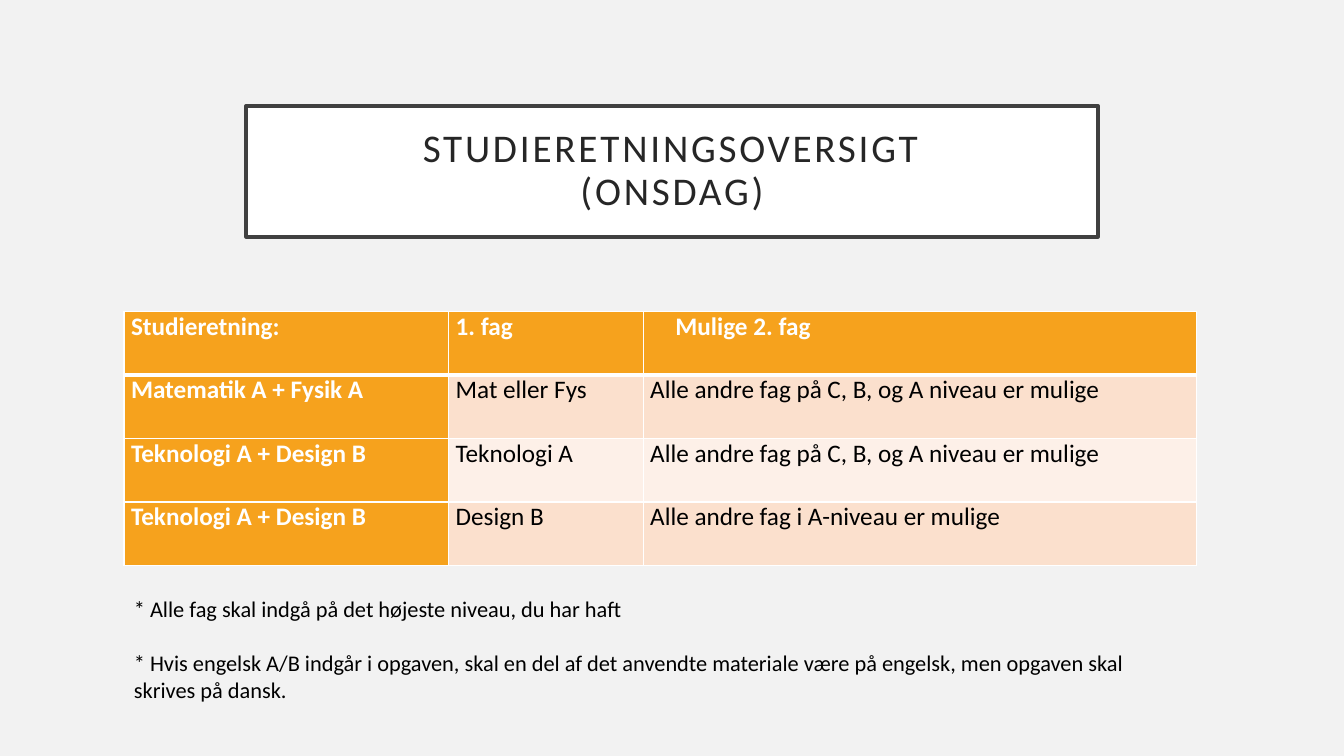
import pptx
import pptx.dml.color
import pptx.enum.text
import pptx.oxml
import pptx.oxml.ns
import pptx.util
from pptx.util import Inches

FONT = "Calibri"
ORANGE, PEACH, CREAM = "F6A21D", "FBE0CD", "FDF0E8"
WHITE, BLACK = "FFFFFF", "000000"

COLUMN_WIDTHS = [3.22, 1.93, 5.49]
ROW_HEIGHT = 0.63
ROWS = [
    ["Studieretning:", "1. fag", "Mulige 2. fag"],
    ["Matematik A + Fysik A", "Mat eller Fys", "Alle andre fag på C, B, og A niveau er mulige"],
    ["Teknologi A + Design B", "Teknologi A", "Alle andre fag på C, B, og A niveau er mulige"],
    ["Teknologi A + Design B", "Design B", "Alle andre fag i A-niveau er mulige"],
]
NOTES = [
    "* Alle fag skal indgå på det højeste niveau, du har haft",
    "* Hvis engelsk A/B indgår i opgaven, skal en del af det anvendte materiale "
    "være på engelsk, men opgaven skal skrives på dansk.",
]


def rgb(value):
    return pptx.dml.color.RGBColor.from_string(value)


def set_fill(target, color):
    target.fill.solid()
    target.fill.fore_color.rgb = rgb(color)


def set_font(p, size, color, bold=False):
    p.font.name = FONT
    p.font.size = pptx.util.Pt(size)
    p.font.bold = bold
    p.font.color.rgb = rgb(color)


def add_title(s, text):
    sp = s.shapes.title
    sp.left, sp.top, sp.width, sp.height = map(Inches, (2.44, 1.05, 8.45, 1.3))
    set_fill(sp, WHITE)
    sp.line.color.rgb = rgb("404040")
    sp.line.width = pptx.util.Pt(2.5)
    tf = sp.text_frame
    tf.word_wrap = True
    tf.auto_size = pptx.enum.text.MSO_AUTO_SIZE.NONE
    tf.vertical_anchor = pptx.enum.text.MSO_ANCHOR.MIDDLE
    tf.margin_left = tf.margin_right = tf.margin_top = tf.margin_bottom = Inches(0.2)
    p = tf.paragraphs[0]
    p.text = text
    p.alignment = pptx.enum.text.PP_ALIGN.CENTER
    p.line_spacing = 0.9
    set_font(p, 28, "262626")
    p._p.get_or_add_pPr().get_or_add_defRPr().set("spc", "200")


def set_borders(cell, widths):
    tcPr = cell._tc.get_or_add_tcPr()
    for i, (side, width) in enumerate(widths.items()):
        tcPr.insert(i, pptx.oxml.parse_xml(
            f'<a:ln{side} {pptx.oxml.ns.nsdecls("a")} w="{pptx.util.Pt(width)}">'
            f'<a:solidFill><a:srgbClr val="{WHITE}"/></a:solidFill></a:ln{side}>'))


def add_subject_table(s):
    frame = s.shapes.add_table(
        len(ROWS), len(COLUMN_WIDTHS), Inches(1.23), Inches(3.09),
        Inches(sum(COLUMN_WIDTHS)), Inches(ROW_HEIGHT * len(ROWS)))
    table = frame.table
    table.first_col = True
    for column, width in zip(table.columns, COLUMN_WIDTHS):
        column.width = Inches(width)
    for i, texts in enumerate(ROWS):
        table.rows[i].height = Inches(ROW_HEIGHT)
        for j, text in enumerate(texts):
            cell = table.cell(i, j)
            heading = i == 0 or j == 0
            set_fill(cell, ORANGE if heading else PEACH if i % 2 else CREAM)
            set_borders(cell, {"L": 1, "R": 1, "T": 3 if i == 1 else 1, "B": 3 if i == 0 else 1})
            cell.margin_left = cell.margin_right = Inches(0.07)
            cell.margin_top = cell.margin_bottom = 0
            p = cell.text_frame.paragraphs[0]
            p.text = text
            set_font(p, 18, WHITE if heading else BLACK, heading)
    last_heading = table.cell(0, 2).text_frame.paragraphs[0]
    last_heading._p.get_or_add_pPr().set("marL", str(Inches(0.25)))


def add_notes(s):
    sp = s.shapes.add_textbox(Inches(1.23), Inches(5.85), Inches(10.64), Inches(1.18))
    tf = sp.text_frame
    tf.word_wrap = True
    tf.auto_size = pptx.enum.text.MSO_AUTO_SIZE.SHAPE_TO_FIT_TEXT
    tf.text = "\n".join(NOTES)
    for p in tf.paragraphs:
        set_font(p, 16, BLACK)
    tf.paragraphs[1].space_before = pptx.util.Pt(19.5)


def main():
    prs = pptx.Presentation()
    prs.slide_width, prs.slide_height = Inches(13.33), Inches(7.5)
    s = prs.slides.add_slide(prs.slide_layouts[5])
    set_fill(s.background, "F2F2F2")
    add_title(s, "STUDIERETNINGSOVERSIGT\v(ONSDAG)")
    add_subject_table(s)
    add_notes(s)
    prs.save("out.pptx")


if __name__ == "__main__":
    main()
